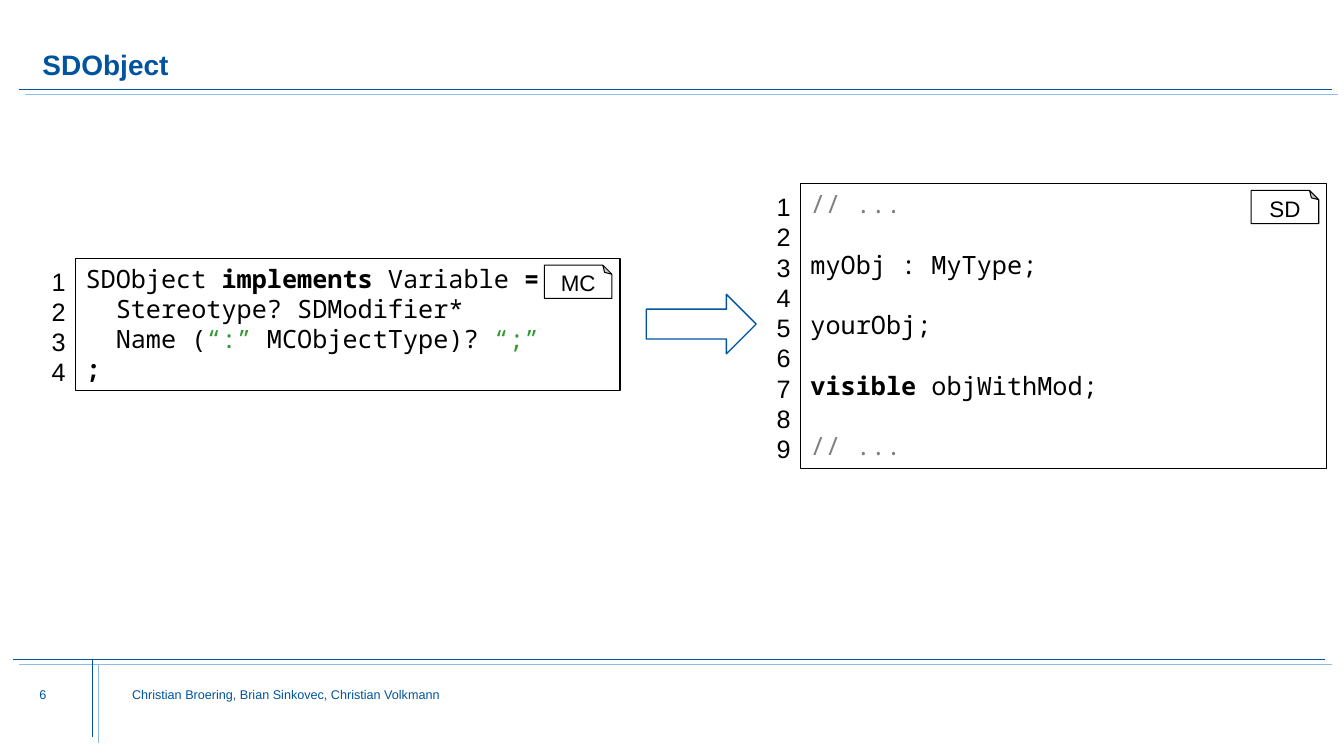
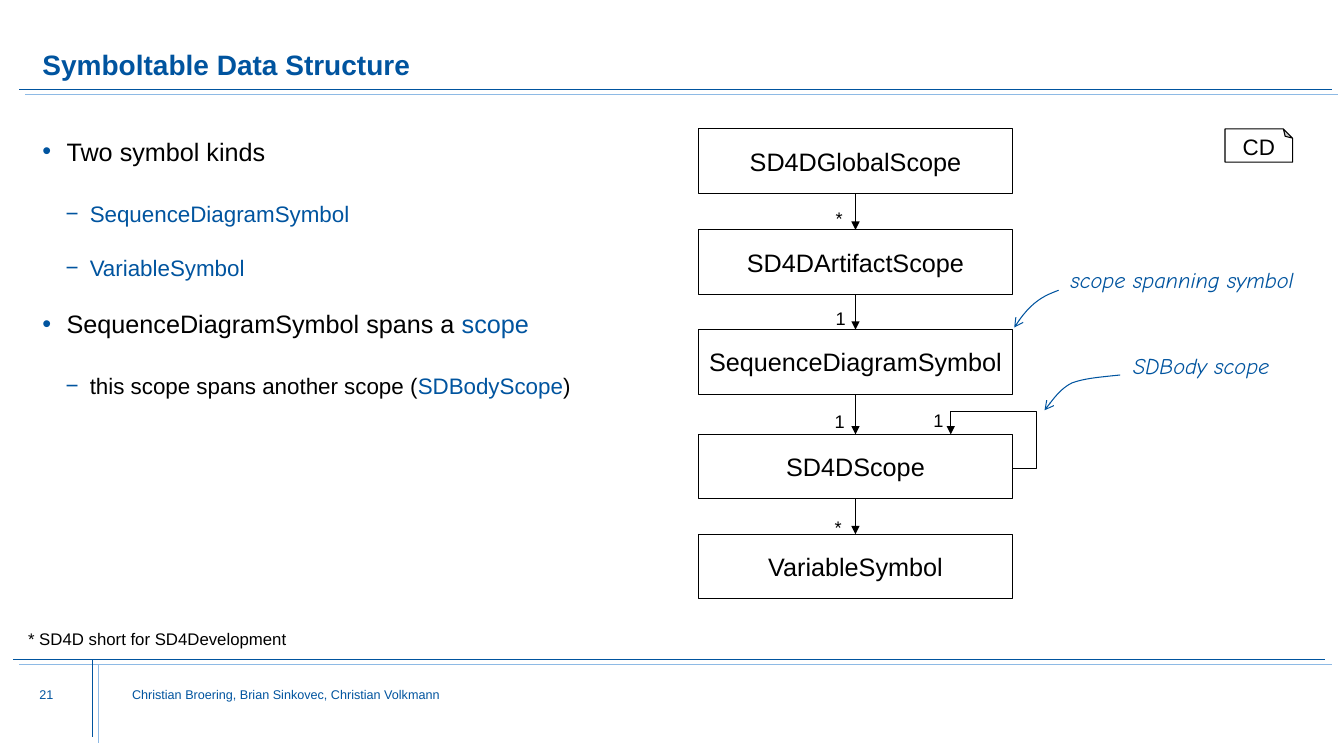
import pptx
import pptx.util
import pptx.dml.color
import pptx.enum.shapes
import pptx.enum.text
import pptx.oxml.ns
import lxml.etree

Inches = pptx.util.Inches
Pt = pptx.util.Pt
SHAPE = pptx.enum.shapes.MSO_SHAPE
LINK = pptx.enum.shapes.MSO_CONNECTOR
ALIGN = pptx.enum.text.PP_ALIGN
ANCHOR = pptx.enum.text.MSO_ANCHOR
qn = pptx.oxml.ns.qn


class Deck:
    """Hold the shared style and the current slide, with a method per kind of element."""

    colors = {"blue": "00549F", "light": "8EBAE5", "black": "000000",
              "white": "FFFFFF", "gray": "808080", "green": "339933"}
    font, mono, hand = "Arial", "Noto Sans Mono", "Comic Neue"
    authors = "Christian Broering, Brian Sinkovec, Christian Volkmann"
    rules = [(0.19, 0.89, 13.21, 0.89, "blue"), (0.25, 0.94, 13.27, 0.94, "light"),
             (0.13, 6.54, 13.14, 6.54, "blue"), (0.19, 6.59, 13.21, 6.59, "light"),
             (0.92, 6.54, 0.92, 7.31, "blue"), (0.98, 6.6, 0.98, 7.37, "light")]
    code_pitch = 21.6

    def __init__(self):
        self.prs = pptx.Presentation()
        self.prs.slide_width, self.prs.slide_height = Inches(13.33), Inches(7.5)
        self.slide = None

    def rgb(self, name):
        return pptx.dml.color.RGBColor.from_string(self.colors[name])

    def new_slide(self, title, number, layout):
        self.slide = self.prs.slides.add_slide(self.prs.slide_layouts[layout])
        for x1, y1, x2, y2, color in self.rules:
            self.line(x1, y1, x2, y2, color, 0.5)
        self.text(self.authors, 1.31, 6.81, 7.66, 0.69, 9, "blue", inset=0)
        self.text(str(number), 0.39, 6.81, 0.8, 0.43, 9, "blue", inset=0)
        s = self.slide.shapes.title
        self.place(s, 0.42, 0.22, 12.56, 0.59)
        tf = s.text_frame
        tf.text = title
        self.frame(tf, ANCHOR.BOTTOM, 0)
        p = tf.paragraphs[0]
        p.alignment, p.line_spacing = ALIGN.LEFT, 0.9
        self.style(p.runs[0], 20, "blue", bold=True)

    def place(self, s, x, y, w, h):
        s.left, s.top, s.width, s.height = (Inches(v) for v in (x, y, w, h))

    def frame(self, tf, anchor=ANCHOR.TOP, inset=None):
        tf.word_wrap, tf.vertical_anchor = True, anchor
        tf.auto_size = pptx.enum.text.MSO_AUTO_SIZE.NONE
        if inset is not None:
            tf.margin_left = tf.margin_right = tf.margin_top = tf.margin_bottom = Inches(inset)

    def style(self, r, size, color="black", font=None, bold=False, italic=False):
        f = r.font
        f.name, f.size, f.bold, f.italic = font or self.font, Pt(size), bold, italic
        f.color.rgb = self.rgb(color)

    def outline(self, s, color, width, head=None):
        s.line.color.rgb, s.line.width = self.rgb(color), Pt(width)
        if head:
            lxml.etree.SubElement(s.line._get_or_add_ln(), qn("a:tailEnd"), type=head)

    def adjust(self, s, name, value):
        geom = s._element.spPr.find(qn("a:prstGeom"))
        guides = geom.find(qn("a:avLst"))
        if guides is None:
            guides = lxml.etree.SubElement(geom, qn("a:avLst"))
        lxml.etree.SubElement(guides, qn("a:gd"), name=name, fmla=f"val {round(value * 100000)}")

    def text(self, text, x, y, w, h, size, color="black", font=None, italic=False,
             align=ALIGN.LEFT, inset=None, pitch=None):
        s = self.slide.shapes.add_textbox(*(Inches(v) for v in (x, y, w, h)))
        tf = s.text_frame
        tf.text = text
        self.frame(tf, inset=inset)
        for p in tf.paragraphs:
            p.alignment = align
            if pitch:
                p.line_spacing = Pt(pitch)
            self.style(p.runs[0], size, color, font, italic=italic)

    def shape(self, kind, x, y, w, h, color="black", width=0.75, fill=None):
        s = self.slide.shapes.add_shape(kind, *(Inches(v) for v in (x, y, w, h)))
        s.shadow.inherit = False
        if fill:
            s.fill.solid()
            s.fill.fore_color.rgb = self.rgb(fill)
        else:
            s.fill.background()
        self.outline(s, color, width)
        return s

    def box(self, text, x, y, w, h):
        s = self.shape(SHAPE.RECTANGLE, x, y, w, h)
        tf = s.text_frame
        tf.text = text
        self.frame(tf, ANCHOR.MIDDLE)
        tf.paragraphs[0].alignment = ALIGN.CENTER
        self.style(tf.paragraphs[0].runs[0], 18)
        return s

    def tag(self, text, x, y):
        s = self.shape(SHAPE.FOLDED_CORNER, x, y, 0.67, 0.33, fill="white")
        self.adjust(s, "adj", 0.276)
        s._element.spPr.find(qn("a:xfrm")).set("flipV", "1")
        tf = s.text_frame
        tf.text = text
        self.frame(tf, ANCHOR.MIDDLE)
        tf.word_wrap = False
        tf._txBody.find(qn("a:bodyPr")).set("rot", "10800000")
        p = tf.paragraphs[0]
        p.alignment, p.line_spacing = ALIGN.CENTER, 0.7
        self.style(p.runs[0], 16)

    def code(self, lines, count, tag, x, y, w, h, gap=0):
        tf = self.shape(SHAPE.RECTANGLE, x, y, w, h).text_frame
        self.frame(tf)
        for i, parts in enumerate(lines):
            p = tf.add_paragraph() if i else tf.paragraphs[0]
            p.alignment, p.line_spacing = ALIGN.LEFT, Pt(self.code_pitch)
            p.space_before = Pt(gap if i else 0)
            for text, color, bold in parts:
                r = p.add_run()
                r.text = text
                self.style(r, 18, color, self.mono, bold)
        numbers = "\n".join(str(n + 1) for n in range(count))
        self.text(numbers, x - 0.56, y + 0.03, 0.56, h, 18, align=ALIGN.RIGHT,
                  pitch=self.code_pitch)
        self.tag(tag, x + w - 0.75, y + 0.07)

    def connector(self, kind, x1, y1, x2, y2, color, width, head=None):
        s = self.slide.shapes.add_connector(kind, *(Inches(v) for v in (x1, y1, x2, y2)))
        self.outline(s, color, width, head)
        lxml.etree.SubElement(s._element.spPr, qn("a:effectLst"))
        return s

    def line(self, x1, y1, x2, y2, color="black", width=0.75, head=None):
        return self.connector(LINK.STRAIGHT, x1, y1, x2, y2, color, width, head)

    def join(self, upper, lower):
        s = self.line(0, 0, 1, 1, head="triangle")
        s.begin_connect(upper, 2)
        s.end_connect(lower, 0)

    def elbow(self, x1, y1, x2, y2, bend):
        s = self.connector(LINK.ELBOW, x1, y1, x2, y2, "black", 0.5)
        self.adjust(s, "adj1", bend)

    def curve(self, *knots, steps=12):
        points = []
        for k in range(0, len(knots) - 1, 3):
            a, b, c, d = knots[k:k + 4]
            for n in range(1, steps + 1):
                t = n / steps
                u = 1 - t
                points.append(tuple(
                    Inches(u ** 3 * a[j] + 3 * u * u * t * b[j] + 3 * u * t * t * c[j] + t ** 3 * d[j])
                    for j in (0, 1)))
        path = self.slide.shapes.build_freeform(Inches(knots[0][0]), Inches(knots[0][1]))
        path.add_line_segments(points, close=False)
        s = path.convert_to_shape()
        s.shadow.inherit = False
        s.fill.background()
        self.outline(s, "blue", 0.75, "arrow")

    def bullets(self, items, x, y, w, h):
        s = self.slide.placeholders[1]
        self.place(s, x, y, w, h)
        tf = s.text_frame
        self.frame(tf, inset=0)
        for i, (level, parts) in enumerate(items):
            p = tf.add_paragraph() if i else tf.paragraphs[0]
            p.level, p.alignment = level, ALIGN.LEFT
            p.space_before, p.space_after = Pt(0), Pt((24, 19.5)[level])
            pPr = p._p.get_or_add_pPr()
            pPr.set("marL", str(Inches((0.24, 0.47)[level])))
            pPr.set("indent", str(Inches(-0.24)))
            tint = lxml.etree.SubElement(pPr, qn("a:buClr"))
            lxml.etree.SubElement(tint, qn("a:srgbClr"), val=self.colors["blue"])
            lxml.etree.SubElement(pPr, qn("a:buFont"), typeface=self.font)
            lxml.etree.SubElement(pPr, qn("a:buChar"), char="•−"[level])
            for text, color in parts:
                r = p.add_run()
                r.text = text
                self.style(r, (18, 16)[level], color)


def object_slide(deck):
    deck.new_slide("SDObject", 6, 5)
    deck.code([
        [("SDObject", "black", False), (" implements ", "black", True),
         ("Variable", "black", False), (" =", "black", True)],
        [("  Stereotype? SDModifier*", "black", False)],
        [("  Name (", "black", False), ("“:” ", "green", False),
         ("MCObjectType)? ", "black", False), ("“;”", "green", False)],
        [(";", "black", True)],
    ], 4, "MC", 0.75, 2.56, 5.4, 1.31)
    comment = [("// ...", "gray", False)]
    deck.code([
        comment,
        [("myObj : MyType;", "black", False)],
        [("yourObj;", "black", False)],
        [("visible ", "black", True), ("objWithMod;", "black", False)],
        comment,
    ], 9, "SD", 7.94, 1.82, 5.22, 2.83, gap=deck.code_pitch)
    deck.shape(SHAPE.RIGHT_ARROW, 6.41, 2.92, 1.09, 0.59, "blue", 1)


def symboltable_slide(deck):
    deck.new_slide("Symboltable Data Structure", 21, 1)
    deck.bullets([
        (0, [("Two symbol kinds", "black")]),
        (1, [("SequenceDiagramSymbol", "blue")]),
        (1, [("VariableSymbol", "blue")]),
        (0, [("SequenceDiagramSymbol spans a ", "black"), ("scope", "blue")]),
        (1, [("this scope spans another scope (", "black"), ("SDBodyScope", "blue"),
             (")", "black")]),
    ], 0.42, 1.35, 6.09, 4.8)
    classes = [("SD4DGlobalScope", 1.28), ("SD4DArtifactScope", 2.28),
               ("SequenceDiagramSymbol", 3.27), ("SD4DScope", 4.31), ("VariableSymbol", 5.3)]
    boxes = [deck.box(name, 6.93, y, 3.11, 0.64) for name, y in classes]
    for upper, lower in zip(boxes, boxes[1:]):
        deck.join(upper, lower)
    for mark, x, y in [("*", 8.19, 2.01), ("1", 8.19, 3), ("1", 8.18, 4.02),
                       ("1", 9.16, 4.01), ("*", 8.18, 5.07)]:
        deck.text(mark, x, y, 0.37, 0.32, 13)
    deck.elbow(10.04, 4.65, 9.43, 4.08, -0.4)
    deck.line(9.43, 4.08, 9.43, 4.31, width=0.5, head="triangle")
    for note, x, y, w in [("scope spanning symbol", 10.52, 2.59, 2.51),
                          ("SDBody scope", 11.14, 3.44, 1.68)]:
        deck.text(note, x, y, w, 0.37, 16, "blue", deck.hand, italic=True)
    deck.curve((10.5, 2.88), (10.37, 2.93), (10.23, 2.98), (10.06, 3.25))
    deck.curve((11.11, 3.72), (10.93, 3.74), (10.76, 3.75), (10.63, 3.8),
               (10.51, 3.86), (10.44, 3.97), (10.36, 4.07))
    deck.tag("CD", 12.15, 1.28)
    deck.text("* SD4D short for SD4Development", 0.18, 6.19, 4.81, 0.3, 12)


def main():
    deck = Deck()
    object_slide(deck)
    symboltable_slide(deck)
    deck.prs.save("out.pptx")


if __name__ == "__main__":
    main()
